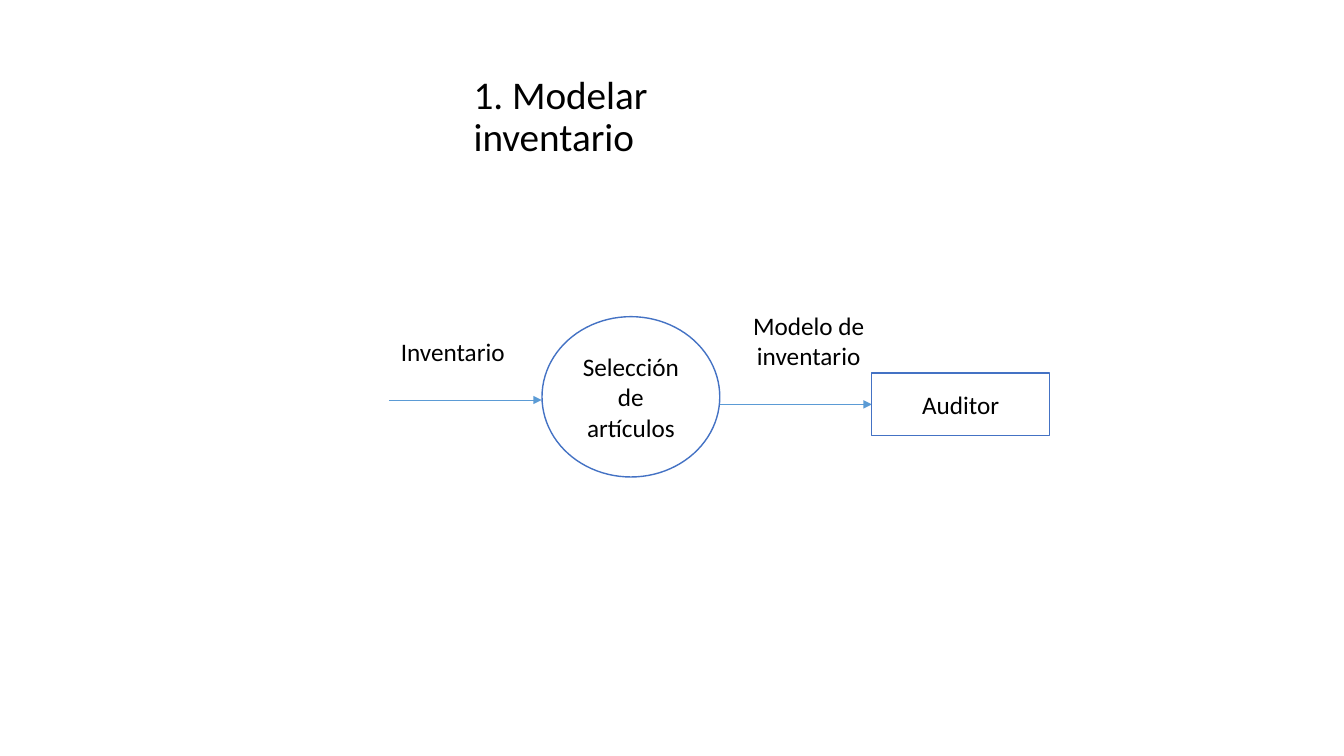
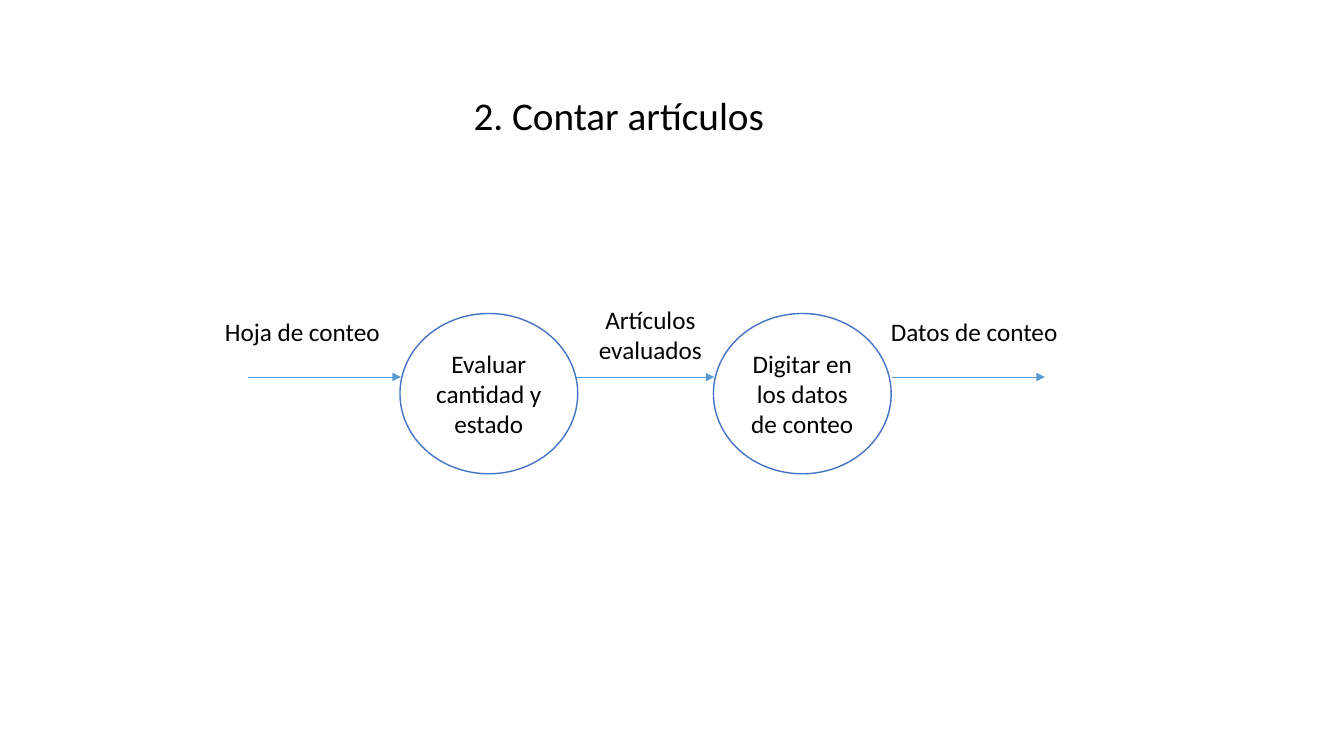
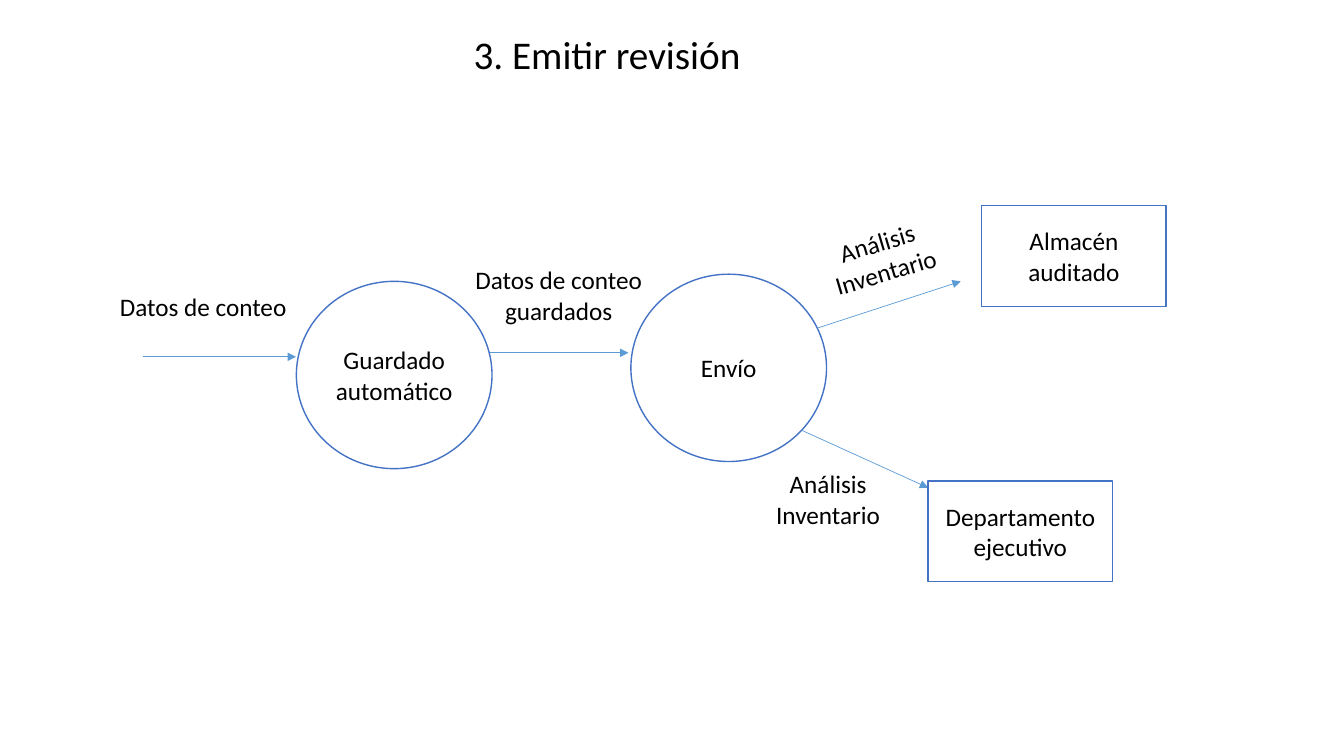
from dataclasses import dataclass

from pptx import Presentation
from pptx.dml.color import RGBColor
from pptx.enum.shapes import MSO_CONNECTOR, MSO_SHAPE
from pptx.enum.text import MSO_ANCHOR, MSO_AUTO_SIZE, PP_ALIGN
from pptx.oxml.ns import qn
from pptx.util import Cm, Pt
from lxml.etree import SubElement


@dataclass(frozen=True)
class Theme:
    font: str = "Calibri"
    title_size: int = 28
    text_size: int = 18
    ink: str = "000000"
    paper: str = "FFFFFF"
    outline: str = "4472C4"
    arrow: str = "5B9BD5"
    outline_width: float = 1
    arrow_width: float = 0.5


THEME = Theme()
ELLIPSE, RECT = MSO_SHAPE.OVAL, MSO_SHAPE.RECTANGLE

# Sizes in centimetres
TITLE_LEFT, TITLE_SIZE = 11.68, (9, 2.16)
PROCESS, BIG_PROCESS = (ELLIPSE, 4.48, 4.04), (ELLIPSE, 4.93, 4.72)
ENTITY, BIG_ENTITY = (RECT, 4.48, 1.57), (RECT, 4.65, 2.54)
LABEL, WIDE_LABEL = (4.48, 1.57), (4.8, 1.57)
STRAIGHT = (3.85, 0)

# Content: nodes (text, kind, left, top), flows (left, top, reach),
# labels (text, size, left, top, rotation)
DIAGRAMS = [
    {
        "title": "1. Modelar inventario", "title_top": 1.88,
        "nodes": [("Selección de artículos", PROCESS, 13.66, 7.98),
                  ("Auditor", ENTITY, 21.97, 9.4)],
        "flows": [(9.8, 10.08, STRAIGHT), (18.12, 10.19, STRAIGHT)],
        "labels": [("Inventario", LABEL, 9.17, 8.08, 0),
                   ("Modelo de inventario", LABEL, 18.14, 7.8, 0)],
    },
    {
        "title": "2. Contar artículos", "title_top": 1.88,
        "nodes": [("Evaluar cantidad y estado", PROCESS, 10.08, 7.9),
                  ("Digitar en los datos de conteo", PROCESS, 17.98, 7.9)],
        "flows": [(6.25, 9.5, STRAIGHT), (14.15, 9.5, STRAIGHT),
                  (22.48, 9.5, STRAIGHT)],
        "labels": [("Hoja de conteo", LABEL, 5.38, 7.57, 0),
                   ("Artículos evaluados", LABEL, 14.15, 7.65, 0),
                   ("Datos de conteo", WIDE_LABEL, 22.15, 7.57, 0)],
    },
    {
        "title": "3. Emitir revisión", "title_top": 0.36,
        "nodes": [("Guardado automático", BIG_PROCESS, 7.47, 7.09),
                  ("Envío", BIG_PROCESS, 15.9, 6.91),
                  ("Almacén auditado", BIG_ENTITY, 24.74, 5.18),
                  ("Departamento ejecutivo", BIG_ENTITY, 23.39, 12.12)],
        "flows": [(3.61, 8.99, STRAIGHT), (11.99, 8.89, STRAIGHT),
                  (20.62, 8.26, (3.59, -1.17)), (20.22, 10.85, (3.17, 1.44))],
        "labels": [("Datos de conteo", WIDE_LABEL, 2.72, 6.93, 0),
                   ("Datos de conteo\nguardados", WIDE_LABEL, 11.68, 6.65, 0),
                   ("Análisis Inventario", WIDE_LABEL, 19.81, 5.69, -16.5),
                   ("Análisis Inventario", WIDE_LABEL, 18.47, 11.79, 0)],
    },
]


def write(shape, text, size=THEME.text_size, align=PP_ALIGN.CENTER, spacing=1):
    frame = shape.text_frame
    frame.text = text
    frame.word_wrap = True
    frame.auto_size = MSO_AUTO_SIZE.NONE
    frame.vertical_anchor = MSO_ANCHOR.MIDDLE
    for paragraph in frame.paragraphs:
        paragraph.alignment = align
        paragraph.line_spacing = spacing
        paragraph.font.name = THEME.font
        paragraph.font.size = Pt(size)
        paragraph.font.color.rgb = RGBColor.from_string(THEME.ink)


def draw_line(line, color, width):
    line.color.rgb = RGBColor.from_string(color)
    line.width = Pt(width)


def add_title(slide, text, top):
    title = slide.shapes.title
    title.left, title.top = Cm(TITLE_LEFT), Cm(top)
    title.width, title.height = map(Cm, TITLE_SIZE)
    write(title, text, THEME.title_size, PP_ALIGN.LEFT, 0.9)


def add_flow(slide, left, top, reach):
    flow = slide.shapes.add_connector(
        MSO_CONNECTOR.STRAIGHT, Cm(left), Cm(top),
        Cm(left + reach[0]), Cm(top + reach[1]))
    draw_line(flow.line, THEME.arrow, THEME.arrow_width)
    SubElement(flow.line._get_or_add_ln(), qn("a:tailEnd"), type="triangle")
    SubElement(flow._element.spPr, qn("a:effectLst"))


def add_node(slide, text, kind, left, top):
    preset, width, height = kind
    node = slide.shapes.add_shape(preset, Cm(left), Cm(top), Cm(width), Cm(height))
    node.shadow.inherit = False
    node.fill.solid()
    node.fill.fore_color.rgb = RGBColor.from_string(THEME.paper)
    draw_line(node.line, THEME.outline, THEME.outline_width)
    write(node, text)


def add_label(slide, text, size, left, top, rotation):
    label = slide.shapes.add_textbox(Cm(left), Cm(top), *map(Cm, size))
    label.rotation = rotation
    write(label, text)


def main():
    deck = Presentation()
    deck.slide_width, deck.slide_height = Cm(33.87), Cm(19.05)
    title_only = deck.slide_layouts.get_by_name("Title Only")
    for diagram in DIAGRAMS:
        slide = deck.slides.add_slide(title_only)
        add_title(slide, diagram["title"], diagram["title_top"])
        # Nodes cover the flow ends that start inside them
        for add, part in ((add_flow, "flows"), (add_node, "nodes"),
                          (add_label, "labels")):
            for item in diagram[part]:
                add(slide, *item)
    deck.save("out.pptx")


if __name__ == "__main__":
    main()
